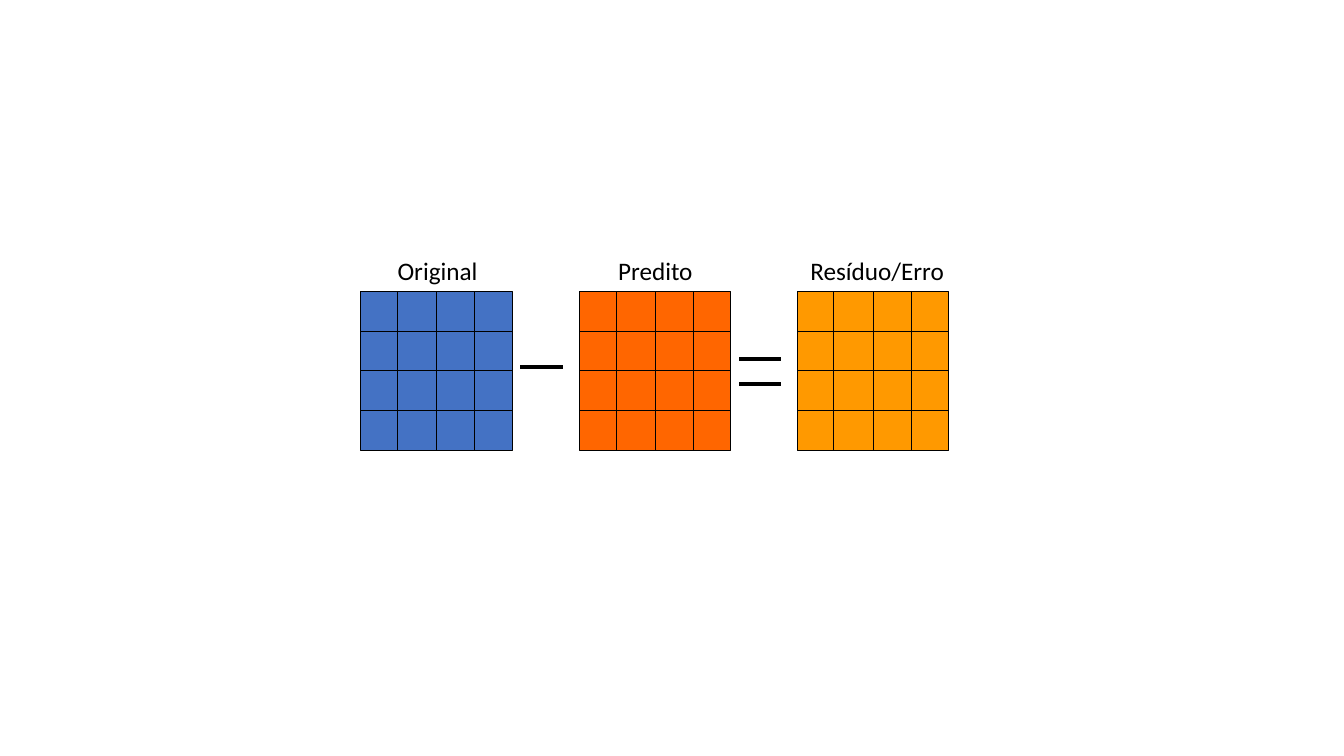
import pptx
import pptx.dml.color
import pptx.enum.shapes
import pptx.enum.text
import pptx.oxml
import pptx.oxml.ns
import pptx.util

PX = 9144
COLORS = {
    "ink": "000000",
    "original": "4472C4",
    "predicted": "FF6600",
    "residual": "FF9900",
}
BLOCK_TOP, BLOCK_WIDTH, BLOCK_HEIGHT = 289, 150, 158
COLUMN_EDGES = (36, 75, 113)
ROWS = 4
LABEL_RISE, LABEL_WIDTH, LABEL_HEIGHT = 41, 158, 40
SIGN_WIDTH = 42


def px(*lengths):
    """Turn px lengths into EMU."""
    return [pptx.util.Emu(round(length * PX)) for length in lengths]


def color(name):
    """Look up a colour by name."""
    return pptx.dml.color.RGBColor.from_string(COLORS[name])


def add_text(shapes, text, box, size=18, font="Calibri", ink="ink"):
    """Add a centred line of text in the given box."""
    frame = shapes.add_textbox(*px(*box)).text_frame
    frame.word_wrap = True
    paragraph = frame.paragraphs[0]
    paragraph.alignment = pptx.enum.text.PP_ALIGN.CENTER
    run = paragraph.add_run()
    run.text = text
    run.font.size = pptx.util.Pt(size)
    run.font.name = font
    run.font.color.rgb = color(ink)


def add_line(shapes, start, end, weight=0.75):
    """Add a straight line between two points."""
    line = shapes.add_connector(
        pptx.enum.shapes.MSO_CONNECTOR.STRAIGHT, *px(*start, *end))
    line.line.color.rgb = color("ink")
    line.line.width = pptx.util.Pt(weight)
    effects = pptx.oxml.ns.qn("a:effectLst")
    line._element.spPr.append(pptx.oxml.xmlchemy.OxmlElement("a:effectLst")
                              if hasattr(pptx.oxml, "xmlchemy")
                              else line._element.spPr.makeelement(effects))


def add_block(slide, label, fill, box, label_shift):
    """Add a labelled block of samples divided into a grid."""
    left, top, width, height = box
    add_text(slide.shapes, label,
             (left + label_shift, top - LABEL_RISE, LABEL_WIDTH, LABEL_HEIGHT))
    grid = slide.shapes.add_group_shape().shapes
    square = grid.add_shape(
        pptx.enum.shapes.MSO_SHAPE.RECTANGLE, *px(*box))
    square.shadow.inherit = False
    square.fill.solid()
    square.fill.fore_color.rgb = color(fill)
    square.line.color.rgb = color("ink")
    square.line.width = pptx.util.Pt(0.75)
    for row in range(1, ROWS):
        y = top + height * row / ROWS
        add_line(grid, (left, y), (left + width, y))
    for edge in COLUMN_EDGES:
        add_line(grid, (left + edge, top), (left + edge, top + height))


def add_sign(shapes, left, bar_tops):
    """Add an operator sign made of thick horizontal bars."""
    for y in bar_tops:
        add_line(shapes, (left, y), (left + SIGN_WIDTH, y), weight=3)


def main():
    """Build the residual diagram and save it."""
    deck = pptx.Presentation()
    deck.slide_width, deck.slide_height = px(1333, 750)
    slide = deck.slides.add_slide(deck.slide_layouts[6])
    blocks = (
        ("Original", "original", 358, -3),
        ("Predito", "predicted", 575, -4),
        ("Resíduo/Erro", "residual", 791, 0),
    )
    for label, fill, left, label_shift in blocks:
        add_block(slide, label, fill,
                  (left, BLOCK_TOP, BLOCK_WIDTH, BLOCK_HEIGHT), label_shift)
    add_sign(slide.shapes, 516, (364,))
    add_sign(slide.shapes.add_group_shape().shapes, 733, (356, 381))
    deck.save("out.pptx")


if __name__ == "__main__":
    main()
